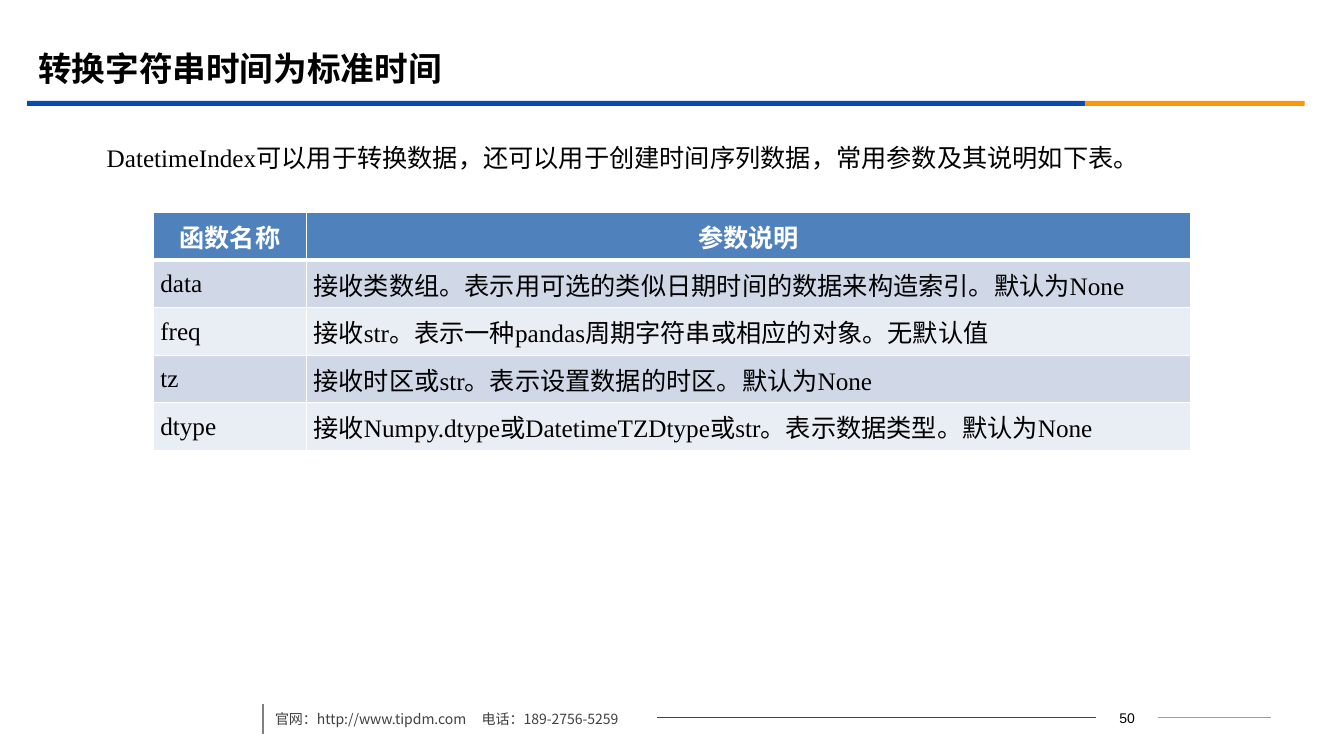
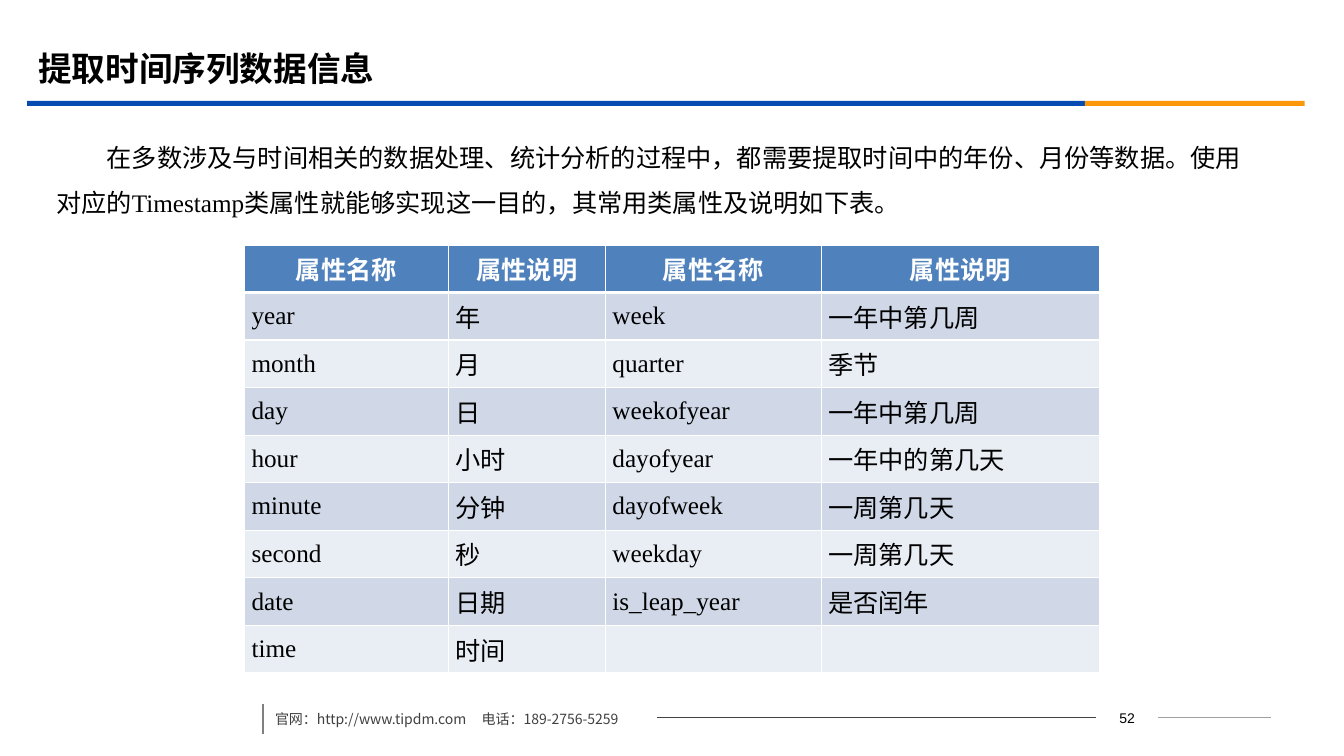
from lxml import etree
from pptx import Presentation
from pptx import util as u
from pptx.dml.color import RGBColor
from pptx.enum import shapes, text
from pptx.oxml.ns import qn

BLUE = RGBColor(0x06, 0x4B, 0xB2)
ORANGE = RGBColor(0xFB, 0x97, 0x08)
BLACK = RGBColor(0, 0, 0)
WHITE = RGBColor(255, 255, 255)
HEADER = RGBColor(0x4F, 0x81, 0xBD)
BANDS = (RGBColor(0xD0, 0xD8, 0xE8), RGBColor(0xE9, 0xED, 0xF4))
FOOTER = RGBColor(0x40, 0x40, 0x40)
RULE_DARK = RGBColor(0x42, 0x42, 0x42)
RULE_LIGHT = RGBColor(0x9F, 0x9F, 0x9F)
RULE_MID = RGBColor(0x80, 0x80, 0x80)
SERIF, SANS, CJK = "Times New Roman", "Arial", "Noto Sans CJK SC"

WIDTH, HEIGHT = 13.33, 7.5
ROW = 0.472
BAND_LEFT, BAND_TOP, BAND_H = 0.27, 1, 0.05
BAND_PARTS = ((10.49, BLUE), (2.18, ORANGE))
FOOTER_Y = 7.12
CONTACT = "官网：http://www.tipdm.com\t电话：189-2756-5259"

PAGES = [
    dict(
        number="50",
        title="转换字符串时间为标准时间",
        intro="DatetimeIndex可以用于转换数据，还可以用于创建时间序列数据，常用参数及其说明如下表。",
        top=2.11,
        cols=(1.52, 8.77),
        rows=[
            ("函数名称", "参数说明"),
            ("data", "接收类数组。表示用可选的类似日期时间的数据来构造索引。默认为None"),
            ("freq", "接收str。表示一种pandas周期字符串或相应的对象。无默认值"),
            ("tz", "接收时区或str。表示设置数据的时区。默认为None"),
            ("dtype", "接收Numpy.dtype或DatetimeTZDtype或str。表示数据类型。默认为None"),
        ],
    ),
    dict(
        number="52",
        title="提取时间序列数据信息",
        intro="在多数涉及与时间相关的数据处理、统计分析的过程中，都需要提取时间中的年份、月份等数据。"
              "使用对应的Timestamp类属性就能够实现这一目的，其常用类属性及说明如下表。",
        top=2.43,
        cols=(2.02, 1.56, 2.14, 2.76),
        rows=[
            ("属性名称", "属性说明", "属性名称", "属性说明"),
            ("year", "年", "week", "一年中第几周"),
            ("month", "月", "quarter", "季节"),
            ("day", "日", "weekofyear", "一年中第几周"),
            ("hour", "小时", "dayofyear", "一年中的第几天"),
            ("minute", "分钟", "dayofweek", "一周第几天"),
            ("second", "秒", "weekday", "一周第几天"),
            ("date", "日期", "is_leap_year", "是否闰年"),
            ("time", "时间", "", ""),
        ],
    ),
]


def write(tf, content, size=18, font=SERIF, color=BLACK, bold=False, align=None,
          spacing=None, indent=0, tab=None):
    tf.word_wrap = True
    p = tf.paragraphs[0]
    p.alignment = align
    p.line_spacing = spacing
    pPr = p._p.get_or_add_pPr()
    if indent:
        pPr.set("marL", "0")
        pPr.set("indent", str(u.Inches(indent)))
    if tab:
        tabs = etree.SubElement(pPr, qn("a:tabLst"))
        etree.SubElement(tabs, qn("a:tab"), pos=str(u.Inches(tab)), algn="l")
    r = p.add_run()
    r.text = content
    r.font.size = u.Pt(size)
    r.font.name = font
    r.font.bold = bold
    r.font.color.rgb = color
    etree.SubElement(r._r.get_or_add_rPr(), qn("a:ea"), typeface=CJK)


def add_text(s, box, content, **fmt):
    sp = s.shapes.add_textbox(*map(u.Inches, box))
    write(sp.text_frame, content, **fmt)
    return sp


def add_line(s, start, end, color, width=0.75):
    line = s.shapes.add_connector(shapes.MSO_CONNECTOR.STRAIGHT,
                                  *map(u.Inches, start + end))
    line.line.color.rgb = color
    line.line.width = u.Pt(width)
    etree.SubElement(line._element.spPr, qn("a:effectLst"))
    return line


def add_frame(s, number):
    x = BAND_LEFT
    for w, color in BAND_PARTS:
        band = s.shapes.add_shape(shapes.MSO_SHAPE.RECTANGLE,
                                  *map(u.Inches, (x, BAND_TOP, w, BAND_H)))
        band.shadow.inherit = False
        band.fill.solid()
        band.fill.fore_color.rgb = color
        band.line.fill.background()
        x += w
    page = add_text(s, (10.87, FOOTER_Y - 0.12, 0.62, 0.24), number, size=10,
                    font=SANS, align=text.PP_ALIGN.CENTER)
    tf = page.text_frame
    tf.margin_top = tf.margin_bottom = 0
    tf.vertical_anchor = text.MSO_ANCHOR.MIDDLE
    add_line(s, (11.49, FOOTER_Y), (12.61, FOOTER_Y), RULE_LIGHT).begin_connect(page, 3)
    add_line(s, (6.52, FOOTER_Y), (10.87, FOOTER_Y), RULE_DARK).end_connect(page, 1)
    add_line(s, (2.61, 6.98), (2.61, 7.28), RULE_MID, 1.25)
    add_text(s, (2.63, 6.92, 5.36, 0.35), CONTACT, size=10, font=CJK,
             color=FOOTER, spacing=1.5, tab=2.05)


def add_title(s, content):
    sp = s.shapes.title
    sp.left, sp.top, sp.width, sp.height = map(u.Inches, (0.28, 0.39, 12, 0.58))
    tf = sp.text_frame
    tf.auto_size = text.MSO_AUTO_SIZE.NONE
    tf.vertical_anchor = text.MSO_ANCHOR.MIDDLE
    write(tf, content, size=24, bold=True, align=text.PP_ALIGN.LEFT)


def set_borders(cell, widths):
    tcPr = cell._tc.get_or_add_tcPr()
    for side, width in zip("LRTB", widths):
        ln = etree.SubElement(tcPr, qn("a:ln" + side), w=str(u.Pt(width)))
        fill = etree.SubElement(ln, qn("a:solidFill"))
        etree.SubElement(fill, qn("a:srgbClr"), val=str(WHITE))


def add_grid(s, top, cols, rows):
    w = sum(cols)
    box = ((WIDTH - w) / 2, top, w, ROW * len(rows))
    table = s.shapes.add_table(len(rows), len(cols), *map(u.Inches, box)).table
    for col, width in zip(table.columns, cols):
        col.width = u.Inches(width)
    for i, row in enumerate(rows):
        table.rows[i].height = u.Inches(ROW)
        head = i == 0
        for j, content in enumerate(row):
            cell = table.cell(i, j)
            set_borders(cell, (1, 1, 3 if i == 1 else 1, 3 if head else 1))
            cell.fill.solid()
            cell.fill.fore_color.rgb = HEADER if head else BANDS[(i - 1) % 2]
            cell.vertical_anchor = text.MSO_ANCHOR.MIDDLE
            if not head:
                cell.margin_left = cell.margin_right = u.Inches(0.07)
                cell.margin_top = cell.margin_bottom = 0
            if content:
                write(cell.text_frame, content, bold=head, color=WHITE if head else BLACK,
                      align=text.PP_ALIGN.CENTER if head else text.PP_ALIGN.JUSTIFY)


def main():
    prs = Presentation()
    prs.slide_width, prs.slide_height = u.Inches(WIDTH), u.Inches(HEIGHT)
    for page in PAGES:
        s = prs.slides.add_slide(prs.slide_layouts[5])
        add_frame(s, page["number"])
        add_title(s, page["title"])
        add_text(s, (0.46, 1.21, 12.15, 1.05), page["intro"], spacing=1.5, indent=0.5)
        add_grid(s, page["top"], page["cols"], page["rows"])
    prs.save("out.pptx")


if __name__ == "__main__":
    main()
